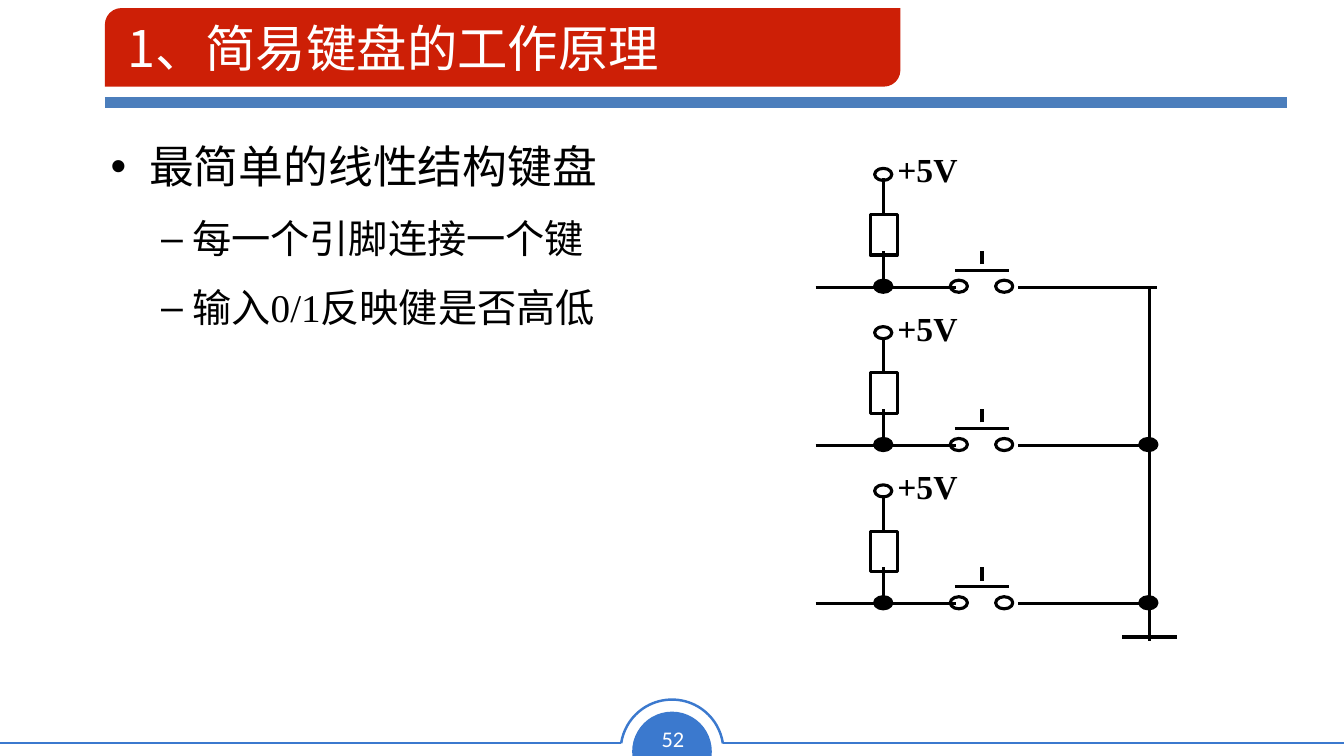
from lxml.etree import SubElement
from pptx import Presentation
from pptx.dml.color import RGBColor
from pptx.enum.shapes import MSO_CONNECTOR as CONNECTOR, MSO_SHAPE as SHAPE
from pptx.enum.text import MSO_ANCHOR as ANCHOR, MSO_AUTO_SIZE as AUTO_SIZE, PP_ALIGN as ALIGN
from pptx.oxml.ns import qn
from pptx.util import Inches, Pt

# The slide is a grid of 1333 columns by 750 rows
COLUMNS, ROWS = 1333, 750
CELL = Inches(0.01)

WHITE = RGBColor(0xFF, 0xFF, 0xFF)
BLACK = RGBColor(0x00, 0x00, 0x00)
RED = RGBColor(0xCD, 0x1F, 0x06)
RULE_BLUE = RGBColor(0x4B, 0x7E, 0xBC)
FOOTER_BLUE = RGBColor(0x3B, 0x79, 0xCE)

SANS, SERIF, DIGITS = "Noto Sans CJK SC", "Times New Roman", "Calibri"


def cells(*counts):
    return [round(count * CELL) for count in counts]


def draw_line(shapes, start, end, color=BLACK, width=2.25):
    line = shapes.add_connector(CONNECTOR.STRAIGHT, *cells(*start, *end))
    line.line.color.rgb = color
    line.line.width = Pt(width)
    SubElement(line._element.spPr, qn("a:effectLst"))


def draw_shape(shapes, kind, box, fill=None, line=None, width=2.25, adjust=(), rotation=0):
    shape = shapes.add_shape(kind, *cells(*box))
    shape.shadow.inherit = False
    shape.rotation = rotation
    for index, value in enumerate(adjust):
        shape.adjustments[index] = value
    if fill is None:
        shape.fill.background()
    else:
        shape.fill.solid()
        shape.fill.fore_color.rgb = fill
    if line is None:
        shape.line.fill.background()
    else:
        shape.line.color.rgb = line
        shape.line.width = Pt(width)


def write_text(paragraph, text, size, font=SERIF, color=BLACK, bold=False, align=ALIGN.LEFT):
    paragraph.alignment = align
    run = paragraph.add_run()
    run.text = text
    run.font.size = Pt(size)
    run.font.bold = bold
    run.font.color.rgb = color
    run.font.name = font
    SubElement(run.font._element, qn("a:ea"), typeface=SANS)


def add_text_box(shapes, box, wrap=True, inset=None):
    frame = shapes.add_textbox(*cells(*box)).text_frame
    frame.word_wrap = wrap
    if inset is not None:
        frame.margin_left = frame.margin_right = inset
        frame.margin_top = frame.margin_bottom = inset
    return frame


def add_bullet(paragraph, character, indent, hanging):
    properties = paragraph._p.get_or_add_pPr()
    properties.set("marL", str(indent * CELL))
    properties.set("indent", str(-hanging * CELL))
    SubElement(properties, qn("a:buFont"), typeface="Arial")
    SubElement(properties, qn("a:buChar"), char=character)


def add_footer(slide, box, number):
    left, top, width, height = box
    center, rule = left + width / 2, top + 43
    draw_shape(slide.shapes, SHAPE.CHORD, (center - 39.5, top + 12, 79, 79),
               fill=FOOTER_BLUE, adjust=(35.77, 153.29), rotation=112.4)
    for start, end in ((left, center - 51), (center + 51, left + width)):
        draw_line(slide.shapes, (start, rule), (end, rule), FOOTER_BLUE, 1.77)
    draw_shape(slide.shapes, SHAPE.ARC, (center - 51, top, 102, 102),
               line=FOOTER_BLUE, width=1.77, adjust=(113.17, 210.98))
    frame = add_text_box(slide.shapes, (center - 22, top + 20, 46, 37), wrap=False)
    write_text(frame.paragraphs[0], number, 16, DIGITS, WHITE, align=ALIGN.CENTER)


def add_heading(slide, box, text):
    left, top, width, height = box
    rule = top + height + 16
    draw_line(slide.shapes, (left, rule), (left + width, rule), RULE_BLUE, 8)
    draw_shape(slide.shapes, SHAPE.ROUND_2_DIAG_RECTANGLE, (left, top, 789, height),
               fill=RED, adjust=(0.21, 0))
    title = slide.shapes.title
    title.left, title.top, title.width, title.height = cells(left + 12, top + 2, 1137, height - 4)
    slide.shapes._spTree.append(title._element)  # bring in front of the band
    frame = title.text_frame
    frame.auto_size = AUTO_SIZE.NONE
    frame.vertical_anchor = ANCHOR.MIDDLE
    write_text(frame.paragraphs[0], text, 36, SANS, WHITE)


def add_body(slide, box, lines):
    frame = add_text_box(slide.shapes, box)
    for index, (level, text) in enumerate(lines):
        paragraph = frame.add_paragraph() if index else frame.paragraphs[0]
        size = 28 if level else 32
        paragraph.level = level
        paragraph.line_spacing = 1.3
        paragraph.space_before = Pt(size * 0.2 if index else 0)
        add_bullet(paragraph, *(("–", 81, 31) if level else ("•", 38, 38)))
        write_text(paragraph, text, size)


def draw_contact(shapes, x, y, fill=None):
    draw_shape(shapes, SHAPE.OVAL, (x - 8.5, y - 6, 17, 12), fill=fill, line=BLACK)


def add_key(shapes, left, wire):
    """One key: pull-up resistor, input wire and push switch."""
    node = left + 67
    # Input wire and wire to the rail
    draw_line(shapes, (left, wire), (left + 139, wire))
    draw_line(shapes, (left + 201, wire), (left + 339, wire))
    # Switch bar and plunger
    draw_line(shapes, (left + 138, wire - 17), (left + 192, wire - 17))
    draw_line(shapes, (left + 165, wire - 23), (left + 165, wire - 36))
    # Resistor with its leads
    draw_shape(shapes, SHAPE.RECTANGLE, (node - 13, wire - 72, 27, 40), line=BLACK)
    for bottom in (wire, wire - 72):
        draw_line(shapes, (node, bottom), (node, bottom - 36))
    # Supply terminal, switch contacts and junction
    draw_contact(shapes, node, wire - 112)
    for x in (left + 142, left + 187):
        draw_contact(shapes, x, wire - 1)
    draw_contact(shapes, node, wire - 1, BLACK)
    label = add_text_box(shapes, (left + 80, wire - 138, 143, 59), inset=CELL)
    write_text(label.paragraphs[0], "+5V", 24, bold=True)


def add_circuit(slide, box, keys=3):
    left, top, width, height = box
    shapes = slide.shapes.add_group_shape().shapes
    rail, ground = left + width - 27, top + height - 4
    draw_line(shapes, (rail, top + 138), (rail, top + height))
    draw_line(shapes, (rail - 27, ground), (rail + 27, ground), width=3)
    for key in range(keys):
        wire = top + 138 + 157 * key
        add_key(shapes, left, wire)
        if key:
            draw_contact(shapes, rail - 1, wire - 1, BLACK)


def main():
    presentation = Presentation()
    presentation.slide_width, presentation.slide_height = cells(COLUMNS, ROWS)
    slide = presentation.slides.add_slide(presentation.slide_layouts[5])
    slide.background.fill.solid()
    slide.background.fill.fore_color.rgb = WHITE

    add_footer(slide, (0, 694, COLUMNS, 56), "52")
    add_heading(slide, (104, 8, 1172, 78), "1、简易键盘的工作原理")
    add_body(slide, (100, 117, 1173, 504), [
        (0, "最简单的线性结构键盘"),
        (1, "每一个引脚连接一个键"),
        (1, "输入0/1反映健是否高低"),
    ])
    add_circuit(slide, (809, 147, 358, 489))
    presentation.save("out.pptx")


if __name__ == "__main__":
    main()
